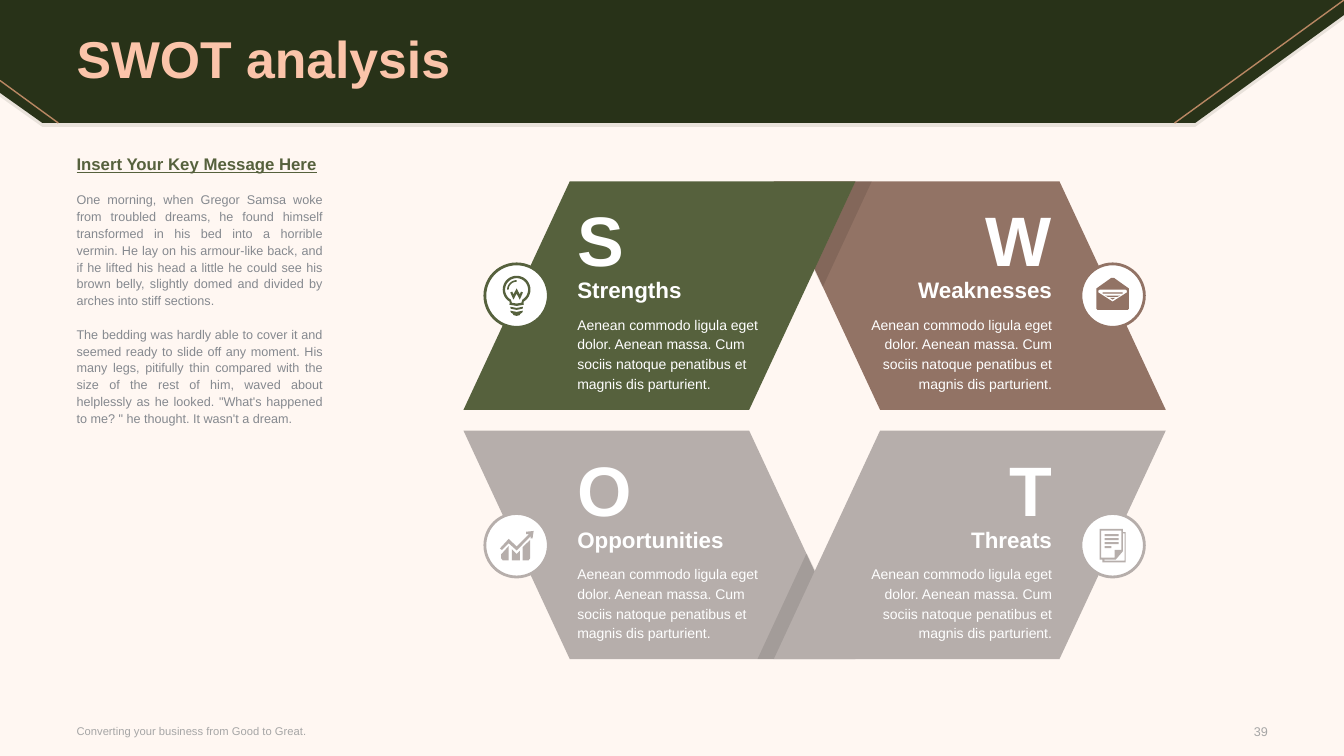
import math
from dataclasses import dataclass

import pptx
import pptx.dml.color
import pptx.enum.shapes
import pptx.enum.text
import pptx.oxml
import pptx.oxml.ns
import pptx.util
from pptx.shapes.shapetree import SlideShapes
from pptx.util import Cm, Pt

RGB = pptx.dml.color.RGBColor
Align = pptx.enum.text.PP_ALIGN
Anchor = pptx.enum.text.MSO_ANCHOR
Point = tuple[float, float]
Contour = list[Point]

CREAM = RGB(0xFF, 0xF7, 0xF2)
FOREST = RGB(0x28, 0x32, 0x18)
PEACH = RGB(0xFB, 0xC4, 0xAA)
COPPER = RGB(0xB9, 0x87, 0x63)
OLIVE = RGB(0x56, 0x61, 0x3D)
BROWN = RGB(0x92, 0x73, 0x65)
TAUPE = RGB(0xB6, 0xAE, 0xAB)
SLATE = RGB(0x85, 0x89, 0x8F)
SILVER = RGB(0xA6, 0xA6, 0xA6)
WHITE = RGB(0xFF, 0xFF, 0xFF)
BLACK = RGB(0, 0, 0)

# Axes of the SWOT figure, in cm
MID_X, MID_Y = 20.53, 10.59
ROW_STEP = 6.29
TEXT_LEFT, TEXT_WIDTH = 14.55, 4.93
BADGE_X, BADGE_Y, BADGE_SIZE = 13.02, 7.45, 1.6

BANNER = [(30.12, 3.1), (1.07, 3.1), (0, 2.34), (0, 0), (33.87, 0), (33.87, 0.38)]
PANEL = [(14.36, 4.57), (21.56, 4.57), (18.88, 10.33), (11.68, 10.33)]
FOLD = [(21.97, 4.57), (20.73, 7.24), (20.52, 6.81), (21.56, 4.57)]


def arc(radius: float, start: int, end: int, center_y: float = -0.15) -> Contour:
    """Points every 10 degrees on a circle centred on the vertical axis."""
    step = 10 if end > start else -10
    return [(radius * math.cos(math.radians(a)), center_y + radius * math.sin(math.radians(a)))
            for a in range(start, end + step, step)]


def bar(left: float, top: float, right: float, height: float) -> Contour:
    return [(left, top), (right, top), (right, top + height), (left, top + height)]


# Icon contours, in cm from the centre of the badge
BULB = [
    arc(0.35, 120, 420) + [(0.18, 0.23), (0, 0.26), (-0.18, 0.23)],
    arc(0.29, 120, 420) + [(0.12, 0.18), (0, 0.2), (-0.12, 0.18)],
    arc(0.24, 180, 270) + arc(0.2, 270, 180),
    [(0.08, -0.03), (0, -0.18), (-0.08, -0.03), (-0.11, -0.1), (-0.16, -0.08),
     (-0.08, 0.1), (0, -0.05), (0.08, 0.1), (0.16, -0.08), (0.11, -0.1)],
    [(-0.16, 0.28), (-0.15, 0.33), (0, 0.36), (0.15, 0.33), (0.16, 0.28), (0, 0.31)],
    [(-0.16, 0.38), (-0.14, 0.43), (-0.09, 0.46), (-0.08, 0.49), (0, 0.51),
     (0.08, 0.49), (0.09, 0.46), (0.14, 0.43), (0.16, 0.38), (0, 0.41)],
]
ENVELOPE = [
    [(-0.41, -0.18), (-0.03, -0.45), (0.03, -0.45), (0.41, -0.18),
     (0.41, 0.33), (0.38, 0.36), (-0.38, 0.36), (-0.41, 0.33)],
    [(-0.36, -0.08), (0, 0.15), (0.36, -0.08), (0.36, -0.13),
     (0.33, -0.15), (-0.33, -0.15), (-0.36, -0.13)],
    bar(-0.25, -0.08, 0.25, 0.03),
    [(-0.19, 0), (0.19, 0), (0.12, 0.03), (-0.12, 0.03)],
    [(-0.06, 0.06), (0.06, 0.06), (0, 0.1)],
]
GROWTH = [
    [(-0.39, 0.23), (-0.39, 0.33), (-0.35, 0.38), (-0.2, 0.38), (-0.2, 0.02)],
    [(-0.12, 0.1), (-0.12, 0.38), (0.08, 0.38), (0.08, 0.14), (0, 0.22)],
    [(0.15, 0.05), (0.15, 0.38), (0.3, 0.38), (0.34, 0.33), (0.34, -0.13)],
    [(0.24, -0.34), (0.24, -0.28), (0.31, -0.28), (0, 0.03), (-0.2, -0.16),
     (-0.42, 0.08), (-0.37, 0.12), (-0.2, -0.05), (0, 0.13), (0.36, -0.23),
     (0.35, -0.17), (0.4, -0.17), (0.43, -0.36)],
]
DOCUMENT = [
    [(0.26, -0.33), (0.26, -0.41), (-0.33, -0.41), (-0.33, 0.36),
     (-0.26, 0.36), (-0.26, 0.43), (0.33, 0.43), (0.33, -0.33)],
    [(-0.29, 0.31), (-0.29, -0.37), (0.22, -0.37), (0.22, 0.12), (0.05, 0.12), (0.05, 0.31)],
    [(0.3, 0.39), (-0.21, 0.39), (-0.21, 0.36), (0.08, 0.36),
     (0.26, 0.15), (0.26, -0.3), (0.3, -0.3)],
    *[bar(-0.2, -0.28 + 0.1 * i, right, 0.05) for i, right in enumerate([0.15, 0.15, 0.15, -0.03])],
]


@dataclass(frozen=True)
class Quadrant:
    heading: str
    color: RGB
    icon: list[Contour]
    right: bool = False
    lower: bool = False


@dataclass(frozen=True)
class Paragraph:
    text: str
    size: float
    color: RGB
    bold: bool = False
    underline: bool = False
    align: Align = Align.LEFT
    line_spacing: float | pptx.util.Length | None = None
    space_before: float = 0


STRENGTHS = Quadrant("Strengths", OLIVE, BULB)
WEAKNESSES = Quadrant("Weaknesses", BROWN, ENVELOPE, right=True)
OPPORTUNITIES = Quadrant("Opportunities", TAUPE, GROWTH, lower=True)
THREATS = Quadrant("Threats", TAUPE, DOCUMENT, right=True, lower=True)
DETAIL = ("Aenean commodo ligula eget dolor. Aenean massa. Cum sociis natoque "
          "penatibus et magnis dis parturient.")
KEY_MESSAGE = [
    "One morning, when Gregor Samsa woke from troubled dreams, he found himself transformed in "
    "his bed into a horrible vermin. He lay on his armour-like back, and if he lifted his head a "
    "little he could see his brown belly, slightly domed and divided by arches into stiff sections.",
    "The bedding was hardly able to cover it and seemed ready to slide off any moment. His many "
    "legs, pitifully thin compared with the size of the rest of him, waved about helplessly as he "
    "looked. \"What's happened to me? \" he thought. It wasn't a dream.",
]


def mirrored(points: Contour, right: bool, lower: bool) -> Contour:
    return [(2 * MID_X - x if right else x, 2 * MID_Y - y if lower else y) for x, y in points]


def draw_outline(shapes: SlideShapes, contours: list[Contour], color: RGB,
                 opacity: int = 100, dx: float = 0, dy: float = 0) -> None:
    """Fill closed contours given in cm, shifted by dx and dy."""
    placed = [[(Cm(x + dx), Cm(y + dy)) for x, y in contour] for contour in contours]
    builder = shapes.build_freeform(*placed[0][0])
    for index, contour in enumerate(placed):
        if index:
            builder.move_to(*contour[0])
        builder.add_line_segments(contour[1:], close=True)
    outline = builder.convert_to_shape()
    outline.shadow.inherit = False
    outline.fill.solid()
    outline.fill.fore_color.rgb = color
    outline.line.fill.background()
    if opacity < 100:
        tone = outline.fill._xPr.find(".//" + pptx.oxml.ns.qn("a:srgbClr"))
        tone.append(pptx.oxml.parse_xml(
            f'<a:alpha {pptx.oxml.ns.nsdecls("a")} val="{opacity * 1000}"/>'))


def draw_line(shapes: SlideShapes, start: Point, end: Point) -> None:
    line = shapes.add_connector(pptx.enum.shapes.MSO_CONNECTOR.STRAIGHT,
                                *[Cm(value) for value in start + end])
    line.line.color.rgb = COPPER
    line.line.width = Pt(1)
    line._element.spPr.append(
        pptx.oxml.parse_xml(f'<a:effectLst {pptx.oxml.ns.nsdecls("a")}/>'))


def write(shapes: SlideShapes, left: float, top: float, width: float, height: float,
          *paragraphs: Paragraph, anchor: Anchor = Anchor.TOP) -> None:
    frame = shapes.add_textbox(Cm(left), Cm(top), Cm(width), Cm(height)).text_frame
    frame.word_wrap = True
    frame.vertical_anchor = anchor
    frame.margin_left = frame.margin_right = frame.margin_top = frame.margin_bottom = 0
    for index, item in enumerate(paragraphs):
        paragraph = frame.add_paragraph() if index else frame.paragraphs[0]
        paragraph.alignment = item.align
        paragraph.line_spacing = item.line_spacing
        paragraph.space_before = Pt(item.space_before)
        run = paragraph.add_run()
        run.text = item.text
        run.font.name = "Arial"
        run.font.size = Pt(item.size)
        run.font.bold = item.bold
        run.font.underline = item.underline
        run.font.color.rgb = item.color


def draw_panel(shapes: SlideShapes, quadrant: Quadrant) -> None:
    draw_outline(shapes, [mirrored(PANEL, quadrant.right, quadrant.lower)], quadrant.color)


def draw_content(shapes: SlideShapes, quadrant: Quadrant) -> None:
    """Badge with its icon, then letter, heading and detail."""
    drop = ROW_STEP if quadrant.lower else 0
    x = 2 * MID_X - BADGE_X if quadrant.right else BADGE_X
    y = BADGE_Y + drop
    badge = shapes.add_shape(pptx.enum.shapes.MSO_SHAPE.OVAL, Cm(x - BADGE_SIZE / 2),
                             Cm(y - BADGE_SIZE / 2), Cm(BADGE_SIZE), Cm(BADGE_SIZE))
    badge.shadow.inherit = False
    badge.fill.solid()
    badge.fill.fore_color.rgb = WHITE
    badge.line.color.rgb = quadrant.color
    badge.line.width = Pt(2)
    draw_outline(shapes, quadrant.icon, quadrant.color, dx=x, dy=y)

    left = 2 * MID_X - TEXT_LEFT - TEXT_WIDTH if quadrant.right else TEXT_LEFT
    align = Align.RIGHT if quadrant.right else Align.LEFT
    for top, height, text, size, bold, spacing in [
        (7.9, 2, DETAIL, 10, False, Pt(14)),
        (6.96, 0.69, quadrant.heading, 16, True, None),
        (4.95, 2.13, quadrant.heading[0], 50, True, None),
    ]:
        write(shapes, left, top + drop, TEXT_WIDTH, height,
              Paragraph(text, size, WHITE, bold, align=align, line_spacing=spacing))


def main() -> None:
    deck = pptx.Presentation()
    deck.slide_width, deck.slide_height = Cm(33.87), Cm(19.05)
    slide = deck.slides.add_slide(deck.slide_layouts[6])
    slide.background.fill.solid()
    slide.background.fill.fore_color.rgb = CREAM
    shapes = slide.shapes

    draw_outline(shapes, [BANNER], FOREST, opacity=10, dy=0.1)
    draw_outline(shapes, [BANNER], FOREST)
    draw_line(shapes, (33.87, 0), (29.6, 3.1))
    draw_line(shapes, (1.47, 3.1), (0, 2.03))
    write(shapes, 1.93, 0.08, 30, 2.97,
          Paragraph("SWOT analysis", 37, PEACH, bold=True, line_spacing=0.9), anchor=Anchor.MIDDLE)
    write(shapes, 1.93, 3.96, 6.2, 13.18,
          Paragraph("Insert Your Key Message Here", 12, OLIVE, True, True, Align.JUSTIFY, Pt(12)),
          *[Paragraph(text, 9, SLATE, align=Align.JUSTIFY, line_spacing=Pt(12), space_before=12)
            for text in KEY_MESSAGE])
    write(shapes, 1.93, 18.08, 13.28, 0.66,
          Paragraph("Converting your business from Good to Great.", 8, SILVER), anchor=Anchor.MIDDLE)
    write(shapes, 30.35, 18.11, 1.6, 0.66,
          Paragraph("39", 9, SILVER, align=Align.RIGHT), anchor=Anchor.MIDDLE)

    for quadrant in (WEAKNESSES, OPPORTUNITIES, THREATS):
        draw_panel(shapes, quadrant)
    for turned in (False, True):
        draw_outline(shapes, [mirrored(FOLD, turned, turned)], BLACK, opacity=10)
    draw_panel(shapes, STRENGTHS)
    for quadrant in (STRENGTHS, WEAKNESSES, OPPORTUNITIES, THREATS):
        draw_content(shapes, quadrant)
    deck.save("out.pptx")


if __name__ == "__main__":
    main()
